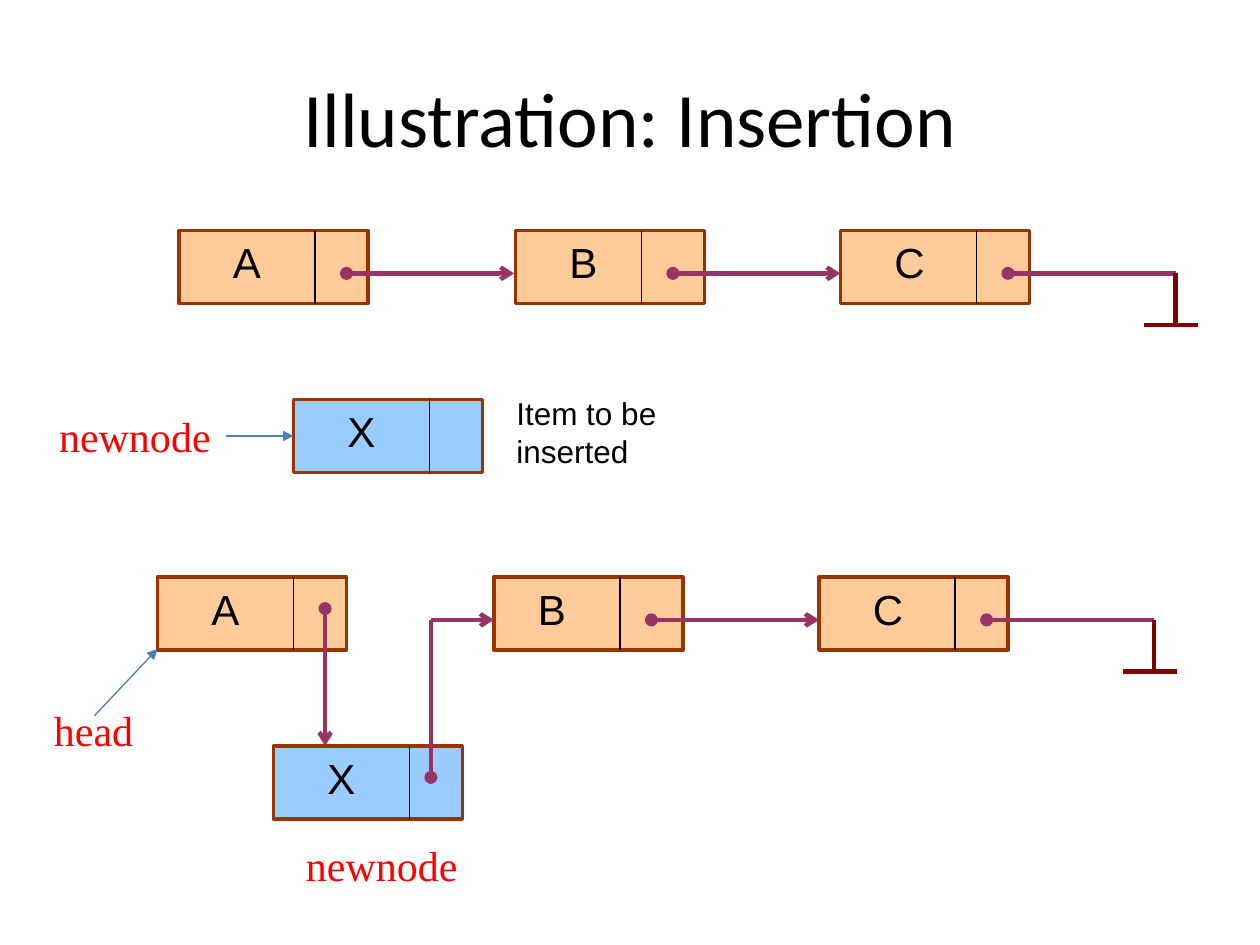
from lxml.etree import SubElement
from pptx import Presentation
from pptx.dml.color import RGBColor
from pptx.enum.shapes import MSO_CONNECTOR as Connector, MSO_SHAPE as Shape
from pptx.enum.text import MSO_ANCHOR as Anchor, PP_ALIGN as Align
from pptx.oxml.ns import qn
from pptx.util import Inches, Pt

COLORS = {
    "black": "000000", "list": "FFCC99", "new": "99CCFF", "border": "993300",
    "link": "993366", "null": "800000", "pointer": "4B7EBC", "name": "FF0000",
}
NODE_WIDTH, NODE_HEIGHT = 1.5, 0.58


def rgb(name):
    return RGBColor.from_string(COLORS[name])


def format_text(para, text, color="black", **values):
    span = para.add_run()
    span.text = text
    for key, value in values.items():
        setattr(span.font, key, value)
    span.font.color.rgb = rgb(color)


def add_title(slide, text):
    title = slide.shapes.title
    place = {"left": 0.5, "top": 0.3, "width": 9, "height": 1.25}
    for key, value in place.items():
        setattr(title, key, Inches(value))
    title.text_frame.vertical_anchor = Anchor.MIDDLE
    para = title.text_frame.paragraphs[0]
    para.alignment = Align.CENTER
    format_text(para, text, size=Pt(44), name="Calibri")


def add_text(slide, text, left, top, width, height=0.5, size=24,
             font="Arial", color="black", wrap=True, before=2.5):
    box = slide.shapes.add_textbox(*map(Inches, (left, top, width, height)))
    box.text_frame.word_wrap = wrap
    para = box.text_frame.paragraphs[0]
    para.space_before = Pt(before)
    format_text(para, text, color, size=Pt(size), name=font)


def add_name(slide, text, left, top, width):
    add_text(slide, text, left, top, width, font="Times New Roman",
             color="name", wrap=False, before=0)


def add_line(slide, start, end, color, width, head=None, tail=None):
    line = slide.shapes.add_connector(
        Connector.STRAIGHT, *map(Inches, (*start, *end)))
    line.line.color.rgb = rgb(color)
    line.line.width = Pt(width)
    # Arrowheads sit in the line's own XML
    outline = line.line._get_or_add_ln()
    for tag, kind in (("a:headEnd", head), ("a:tailEnd", tail)):
        if kind:
            SubElement(outline, qn(tag), type=kind)
    SubElement(line._element.spPr, qn("a:effectLst"))


def add_link(slide, start, end, head="oval", tail="arrow"):
    add_line(slide, start, end, "link", 2.5, head, tail)


def add_pointer(slide, start, end):
    add_line(slide, start, end, "pointer", 0.75, tail="triangle")


def add_node(slide, label, left, top, fill="list", split=1.08, indent=0.33):
    node = slide.shapes.add_shape(
        Shape.RECTANGLE, *map(Inches, (left, top, NODE_WIDTH, NODE_HEIGHT)))
    node.shadow.inherit = False
    node.fill.solid()
    node.fill.fore_color.rgb = rgb(fill)
    node.line.color.rgb = rgb("border")
    node.line.width = Pt(2)
    divider = left + split
    add_line(slide, (divider, top), (divider, top + NODE_HEIGHT), "black", 0.75)
    add_text(slide, label, left + indent, top, 0.67)


def add_null(slide, x, top):
    bottom = top + 0.41
    add_line(slide, (x, top), (x, bottom), "null", 2.5)
    add_line(slide, (x - 0.25, bottom), (x + 0.18, bottom), "null", 2.5)


def add_list(slide, left, top, b_indent):
    """Nodes A, B and C, the links that leave B and C, and the list's end."""
    b_left, c_left, link_y = left + 2.67, left + 5.25, top + 0.34
    end_x = left + 7.91
    add_node(slide, "A", left, top)
    add_node(slide, "B", b_left, top, split=1, indent=b_indent)
    add_node(slide, "C", c_left, top)
    add_link(slide, (b_left + 1.25, link_y), (c_left, link_y))
    add_link(slide, (c_left + 1.33, link_y), (end_x, link_y), tail=None)
    add_null(slide, end_x, link_y)


def main():
    deck = Presentation()
    deck.slide_width, deck.slide_height = Inches(10), Inches(7.5)
    slide = deck.slides.add_slide(deck.slide_layouts[5])
    add_title(slide, "Illustration: Insertion")

    # List before the insertion
    add_list(slide, 1.42, 1.83, b_indent=0.33)
    add_link(slide, (2.75, 2.17), (4.08, 2.17))

    # Item to be inserted
    add_node(slide, "X", 2.33, 3.17, fill="new")
    add_text(slide, "Item to be inserted", 4, 3.08, 1.83, 0.7, size=18)
    add_name(slide, "newnode", 0.37, 3.21, 1.42)
    add_pointer(slide, (1.79, 3.46), (2.33, 3.46))

    # List after the insertion
    add_list(slide, 1.25, 4.58, b_indent=0.25)
    add_node(slide, "X", 2.17, 5.92, fill="new")
    add_link(slide, (2.58, 4.83), (2.58, 5.92))
    add_link(slide, (3.42, 6.17), (3.42, 4.92), tail=None)
    add_link(slide, (3.42, 4.92), (3.92, 4.92), head=None)
    add_name(slide, "head", 0.33, 5.54, 0.84)
    add_pointer(slide, (0.75, 5.68), (1.25, 5.15))
    add_name(slide, "newnode", 2.33, 6.61, 1.42)

    deck.save("out.pptx")


main()
